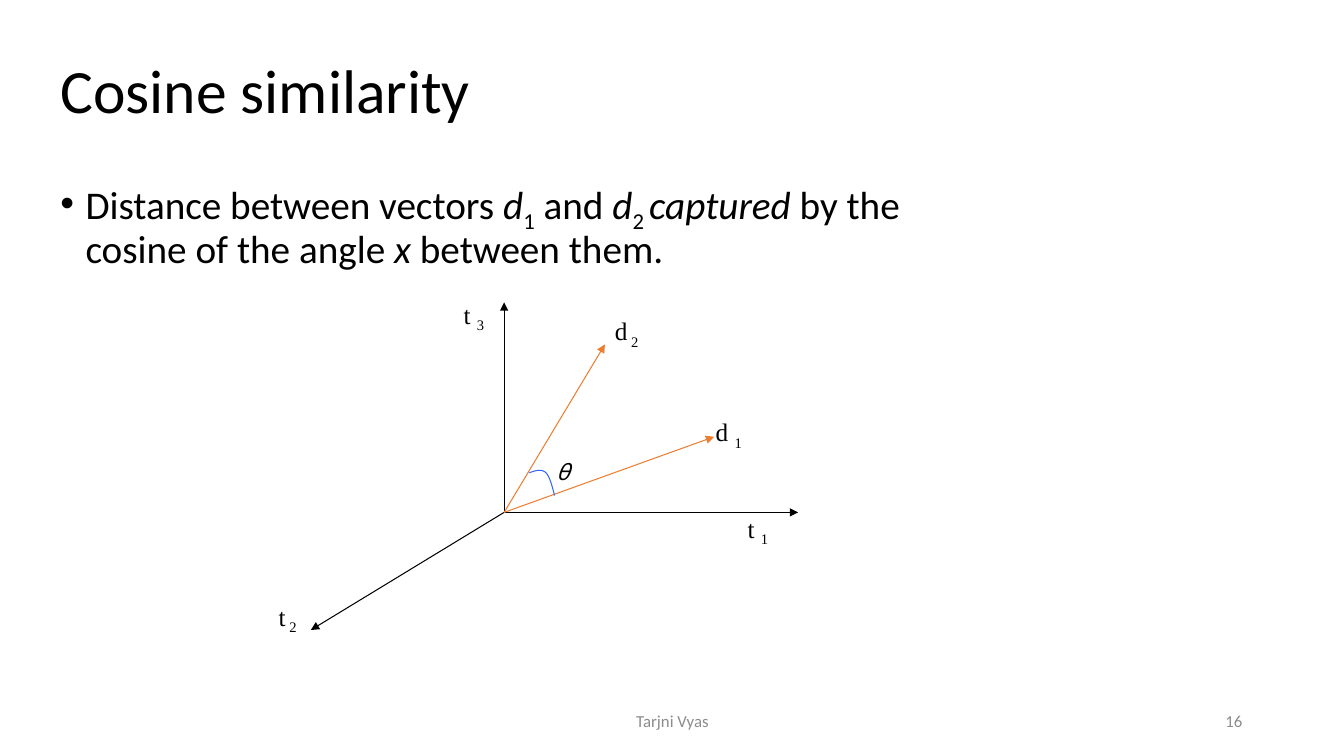
from collections import namedtuple

from lxml.etree import SubElement
from pptx import Presentation
from pptx.dml.color import RGBColor
from pptx.enum.shapes import MSO_CONNECTOR
from pptx.enum.text import MSO_ANCHOR, MSO_AUTO_SIZE, PP_ALIGN
from pptx.oxml.ns import qn
from pptx.util import Inches, Pt

Box = namedtuple("Box", "left top width height")
CELL = 1 / 12

TITLE_BOX = Box(0.5, 0.3, 9, 1.25)
BODY_BOX = Box(0.5, 1.75, 9, 4.95)
DIAGRAM_BOX = Box(32 * CELL, 35 * CELL, 63 * CELL, 41 * CELL)
FOOTER_BOX = Box(4.42, 6.95, 8, 0.4)

ORIGIN = (28, 26)
VECTORS = [
    ((63, 26), "000000"),
    ((28, 1), "000000"),
    ((5, 40), "000000"),
    ((53, 17), "ED7D31"),
    ((40, 6), "ED7D31"),
]
LABELS = [
    ((55.8, 25.5), 0.42, [("t ", ""), ("1", "sub")], False),
    ((40, 2), 0.51, [("d", ""), (" 2", "sub")], True),
    ((52, 14), 0.47, [("d ", ""), ("1", "sub")], False),
    ((22, 0), 0.42, [("t ", ""), ("3", "sub")], False),
    ((0, 36), 0.4, [("t", ""), (" 2", "sub")], False),
]
ARC_START = (31, 21.3)
ARC_CURVES = [
    ((31.7, 21), (32.5, 20.8), (33, 21.3)),
    ((33.5, 21.8), (33.9, 23.6), (34, 24)),
]
STATEMENT = [
    ("Distance between vectors ", ""), ("d", "italic"), ("1", "sub"),
    (" and ", ""), ("d", "italic"), ("2 ", "sub"), ("captured", "italic"),
    (" by the cosine of the angle ", ""), ("x", "italic"),
    (" between them.", ""),
]


def color(value):
    """Turn a hex string into a colour."""
    return RGBColor.from_string(value)


def add_text(page, box, runs, size, font="Calibri", ink="000000",
             anchor=MSO_ANCHOR.TOP, align=PP_ALIGN.LEFT, wrap=True, grow=False):
    """Place one paragraph of styled runs in a box and return the paragraph."""
    frame = page.shapes.add_textbox(*map(Inches, box)).text_frame
    frame.word_wrap = wrap
    frame.vertical_anchor = anchor
    if grow:
        frame.auto_size = MSO_AUTO_SIZE.SHAPE_TO_FIT_TEXT
    para = frame.paragraphs[0]
    para.alignment = align
    for text, style in runs:
        span = para.add_run()
        span.text = text
        span.font.size = Pt(size)
        span.font.name = font
        span.font.color.rgb = color(ink)
        span.font.italic = style == "italic"
        if style == "sub":
            span._r.get_or_add_rPr().set("baseline", "-25000")
    return para


def add_title(page, box):
    """Write the slide title."""
    para = add_text(page, box, [("Cosine similarity", "")], 44,
                    anchor=MSO_ANCHOR.MIDDLE)
    para.line_spacing = 0.9


def add_statement(page, box):
    """Write the bulleted statement."""
    para = add_text(page, box, STATEMENT, 28)
    para.line_spacing = 0.9
    para.space_before = Pt(10)
    properties = para._p.get_or_add_pPr()
    properties.set("marL", str(Inches(0.25)))
    properties.set("indent", str(Inches(-0.25)))
    SubElement(properties, qn("a:buFont")).set("typeface", "Arial")
    SubElement(properties, qn("a:buChar")).set("char", "•")


def add_arrow(page, start, tip, ink):
    """Draw a thin arrow between two points given in inches."""
    arrow = page.shapes.add_connector(
        MSO_CONNECTOR.STRAIGHT, *map(Inches, start + tip))
    arrow.line.color.rgb = color(ink)
    arrow.line.width = Pt(0.75)
    SubElement(arrow.line._get_or_add_ln(), qn("a:tailEnd")).set("type", "triangle")
    SubElement(arrow._element.spPr, qn("a:effectLst"))


def bezier_points(start, curves, steps=10):
    """Return points along a chain of cubic curves."""
    points = []
    for first, second, end in curves:
        for step in range(1, steps + 1):
            t = step / steps
            weights = ((1 - t) ** 3, 3 * t * (1 - t) ** 2,
                       3 * t ** 2 * (1 - t), t ** 3)
            points.append(tuple(
                sum(weight * value for weight, value in zip(weights, values))
                for values in zip(start, first, second, end)))
        start = end
    return points


def add_angle(page, place):
    """Draw the arc that marks the angle between the two vectors."""
    points = [tuple(map(Inches, place(point)))
              for point in bezier_points(ARC_START, ARC_CURVES)]
    builder = page.shapes.build_freeform(*map(Inches, place(ARC_START)))
    builder.add_line_segments(points, close=False)
    arc = builder.convert_to_shape()
    arc.shadow.inherit = False
    arc.fill.background()
    arc.line.color.rgb = color("3366FF")
    arc.line.width = Pt(0.75)


def add_diagram(page, box):
    """Draw the axes, the vectors, their labels and the angle on a grid."""
    def place(point):
        """Turn grid columns and rows into inches."""
        return box.left + point[0] * CELL, box.top + point[1] * CELL

    for tip, ink in VECTORS:
        add_arrow(page, place(ORIGIN), place(tip), ink)
    for corner, width, runs, wrap in LABELS:
        add_text(page, Box(*place(corner), width, 0.4), runs, 18,
                 font="Times New Roman", wrap=wrap, grow=True)
    add_angle(page, place)
    add_text(page, Box(*place((33, 19)), 0.3, 0.37), [("θ", "italic")], 16,
             font="Noto Sans Mono", grow=True)


def add_footer(page, box):
    """Write the author in the middle and the page number at the right."""
    author_box = box._replace(width=4.5)
    number_box = box._replace(left=box.left + box.width - 3, width=3)
    for part, text, align in ((author_box, "Tarjni Vyas", PP_ALIGN.CENTER),
                              (number_box, "16", PP_ALIGN.RIGHT)):
        add_text(page, part, [(text, "")], 12, ink="8C8C8C",
                 anchor=MSO_ANCHOR.MIDDLE, align=align)


def main():
    """Build the slide and save it."""
    deck = Presentation()
    deck.slide_width, deck.slide_height = Inches(13.33), Inches(7.5)
    page = deck.slides.add_slide(deck.slide_layouts[6])
    add_title(page, TITLE_BOX)
    add_diagram(page, DIAGRAM_BOX)
    add_statement(page, BODY_BOX)
    add_footer(page, FOOTER_BOX)
    deck.save("out.pptx")


if __name__ == "__main__":
    main()
